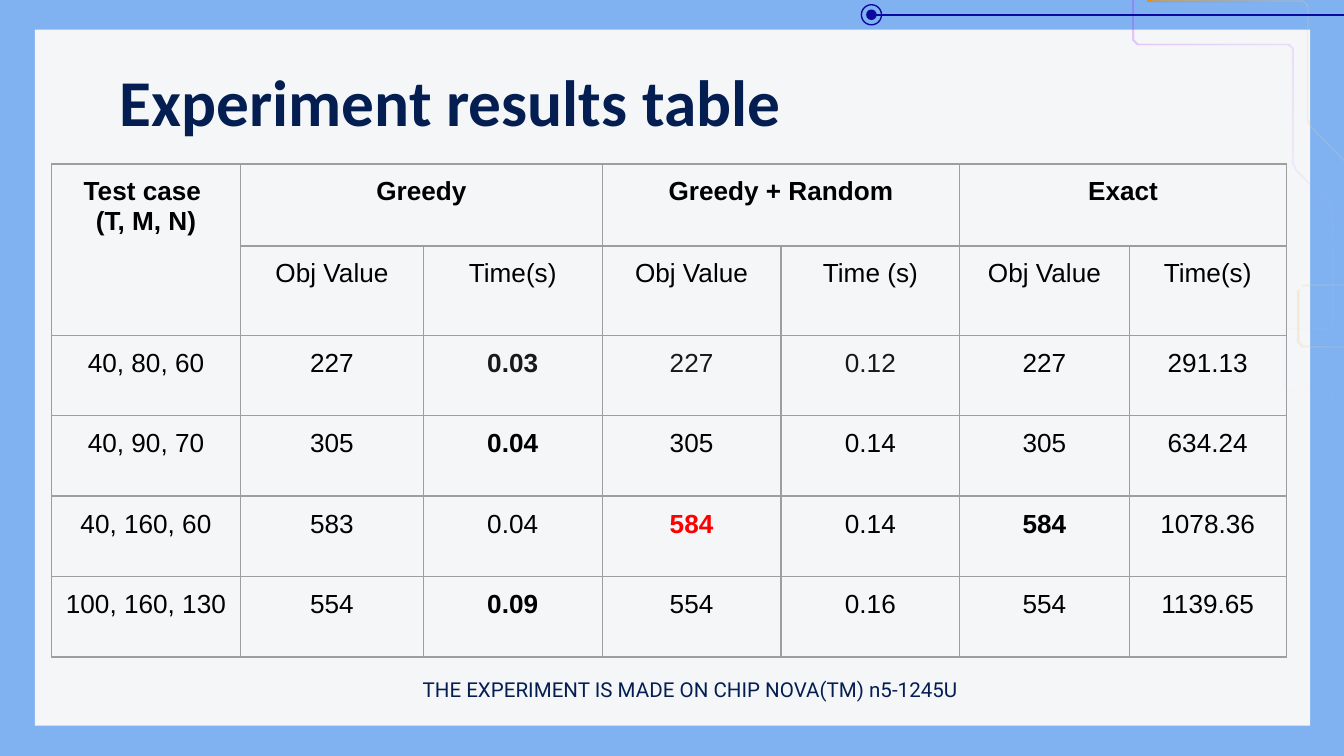
from dataclasses import dataclass
from math import hypot

from lxml import etree
from pptx import Presentation
from pptx import util as u
from pptx.dml.color import RGBColor
from pptx.enum import shapes, text
from pptx.oxml import ns

Cm, Pt = u.Cm, u.Pt


@dataclass(frozen=True)
class Theme:
    sky: str = "80B2F1"
    panel: str = "F4F6F8"
    navy: str = "041E52"
    wire: str = "0C0A9E"
    grid: str = "9E9E9E"
    black: str = "000000"
    soft: str = "191919"
    red: str = "FF0000"
    title: int = 35
    cell: int = 14
    note: int = 11
    thin: float = 0.75


THEME = Theme()
PAD = Cm(0.25)
MARGINS = {f"margin_{side}": PAD for side in ("left", "top", "right", "bottom")}

# Table content; None is a cell covered by a merge
HEADS = ["Test case \n(T, M, N)", "Greedy", None, "Greedy + Random", None, "Exact", None]
ROWS = [
    HEADS,
    [None, "Obj Value", "Time(s)", "Obj Value", "Time (s)", "Obj Value", "Time(s)"],
    ["40, 80, 60", "227", "0.03", "227", "0.12", "227", "291.13"],
    ["40, 90, 70", "305", "0.04", "305", "0.14", "305", "634.24"],
    ["40, 160, 60", "583", "0.04", "584", "0.14", "584", "1078.36"],
    ["100, 160, 130", "554", "0.09", "554", "0.16", "554", "1139.65"],
]
WIDTHS = [3.58, 3.45, 3.38, 3.38, 3.38, 3.2, 2.97]
HEIGHTS = [1.55, 1.63] + [1.52] * 4
MERGES = [((0, 0), (1, 0))] + [((0, c), (0, c + 1)) for c in (1, 3, 5)]
BOLD = {(2, 2), (3, 2), (4, 3), (4, 5), (5, 2)}
TINTS = {(2, 2): THEME.soft, (2, 3): THEME.soft, (2, 4): THEME.soft, (4, 3): THEME.red}

# Corners of a circuit trace, in hundredths of a centimetre
TRACE = [(2141, 0), (2141, 86), (2441, 86), (2441, 317), (2517, 394), (2517, 622),
         (2424, 622), (2424, 738), (2517, 738), (2517, 786), (2563, 786), (2563, 803)]


def rgb(code):
    return RGBColor.from_string(code)


def apply(thing, form):
    for key, value in form.items():
        setattr(thing, key, value)


def write(frame, words, size, face, tint, bold=False, align=None):
    frame.text = words
    for par in frame.paragraphs:
        par.alignment = align
        apply(par.font, {"size": Pt(size), "name": face, "bold": bold})
        par.font.color.rgb = rgb(tint)


def add_text(slide, box, words, **form):
    frame = slide.shapes.add_textbox(*map(Cm, box)).text_frame
    apply(frame, {"word_wrap": True, **MARGINS})
    write(frame, words, **form)
    return frame


def add_shape(slide, kind, box, fill=None, line=None):
    shape = slide.shapes.add_shape(kind, *map(Cm, box))
    shape.shadow.inherit = False
    if fill:
        shape.fill.solid()
        shape.fill.fore_color.rgb = rgb(fill)
    else:
        shape.fill.background()
    if line:
        shape.line.color.rgb = rgb(line)
        shape.line.width = Pt(THEME.thin)
    else:
        shape.line.fill.background()


def add_wire(slide, start, end):
    wire = slide.shapes.add_connector(
        shapes.MSO_CONNECTOR.STRAIGHT, *map(Cm, (*start, *end)))
    wire.line.color.rgb = rgb(THEME.wire)
    wire.line.width = Pt(THEME.thin)
    etree.SubElement(wire._element.spPr, ns.qn("a:effectLst"))


def bevel(points, cut=8):
    """Replace each inner corner by two points close to it."""
    out = [points[0]]
    for prev, here, after in zip(points, points[1:], points[2:]):
        for other in (prev, after):
            dx, dy = other[0] - here[0], other[1] - here[1]
            part = min(cut / hypot(dx, dy), 0.4)
            out.append((here[0] + dx * part, here[1] + dy * part))
    return out + [points[-1]]


def add_trace(slide, shift, stops, angle):
    """Draw the trace as a thin closed band with a fading fill."""
    dx, dy = shift
    path = bevel([(x + dx, max(0, y + dy)) for x, y in TRACE])
    back = [(x + 3, max(0, y - 3)) for x, y in reversed(path)]
    pen = slide.shapes.build_freeform(*path[0], scale=Cm(0.01))
    pen.add_line_segments(path[1:] + back, close=True)
    band = pen.convert_to_shape()
    band.shadow.inherit = False
    band.line.fill.background()
    band.fill.gradient()
    band.fill.gradient_angle = angle
    marks = band._element.spPr.find(".//" + ns.qn("a:gsLst"))
    for mark in list(marks):
        marks.remove(mark)
    for place, tint, alpha in stops:
        mark = etree.SubElement(marks, ns.qn("a:gs"), pos=str(place * 1000))
        color = etree.SubElement(mark, ns.qn("a:srgbClr"), val=tint)
        etree.SubElement(color, ns.qn("a:alpha"), val=str(alpha * 1000))


def edge(cell):
    props = cell._tc.get_or_add_tcPr()
    for spot, side in enumerate("LRTB"):
        line = etree.Element(ns.qn(f"a:ln{side}"), w=str(Pt(THEME.thin)))
        fill = etree.SubElement(line, ns.qn("a:solidFill"))
        etree.SubElement(fill, ns.qn("a:srgbClr"), val=THEME.grid)
        props.insert(spot, line)


def add_grid(slide, left, top):
    grid = slide.shapes.add_table(
        len(ROWS), len(WIDTHS), Cm(left), Cm(top),
        Cm(sum(WIDTHS)), Cm(sum(HEIGHTS))).table
    apply(grid, {"first_row": False, "horz_banding": False})
    for col, width in zip(grid.columns, WIDTHS):
        col.width = Cm(width)
    for row, height in zip(grid.rows, HEIGHTS):
        row.height = Cm(height)
    for first, last in MERGES:
        grid.cell(*first).merge(grid.cell(*last))
    for r, row in enumerate(ROWS):
        for c, words in enumerate(row):
            cell = grid.cell(r, c)
            cell.fill.background()
            apply(cell, MARGINS)
            edge(cell)
            if words:
                write(cell.text_frame, words, THEME.cell, "Arial",
                      TINTS.get((r, c), THEME.black),
                      bold=r == 0 or (r, c) in BOLD, align=text.PP_ALIGN.CENTER)


def main():
    deck = Presentation()
    apply(deck, {"slide_width": Cm(25.4), "slide_height": Cm(14.29)})
    slide = deck.slides.add_slide(deck.slide_layouts[6])
    kinds = shapes.MSO_SHAPE

    # Backdrop and panel
    slide.background.fill.solid()
    slide.background.fill.fore_color.rgb = rgb(THEME.sky)
    add_shape(slide, kinds.RECTANGLE, (0.66, 0.56, 24.1, 13.16), fill=THEME.panel)

    # Circuit decoration
    add_trace(slide, (0, 0), [(0, "9900FF", 22), (100, "FFFFFF", 0)], 315)
    add_trace(slide, (28, -81),
              [(0, "EB9109", 100), (40, "FF9900", 41), (100, "FFFFFF", 0)], 0)
    add_shape(slide, kinds.OVAL, (16.28, 0.09, 0.38, 0.38), line=THEME.wire)
    add_wire(slide, (16.56, 0.28), (25.4, 0.28))
    add_shape(slide, kinds.OVAL, (16.37, 0.18, 0.2, 0.2), fill=THEME.wire)

    # Title, results and note
    add_text(slide, (2.01, 0.91, 21.41, 1.78), "Experiment results table",
             size=THEME.title, face="Calibri", tint=THEME.navy, bold=True)
    add_grid(slide, 0.97, 3.1)
    note = add_text(slide, (-0.41, 12.57, 24.38, 0.99),
                    "THE EXPERIMENT IS MADE ON CHIP NOVA(TM) n5-1245U",
                    size=THEME.note, face="Roboto", tint=THEME.navy,
                    align=text.PP_ALIGN.CENTER)
    props = note.paragraphs[0]._p.get_or_add_pPr()
    for key in ("marL", "indent"):
        props.set(key, str(Cm(1.27)))

    deck.save("out.pptx")


if __name__ == "__main__":
    main()
